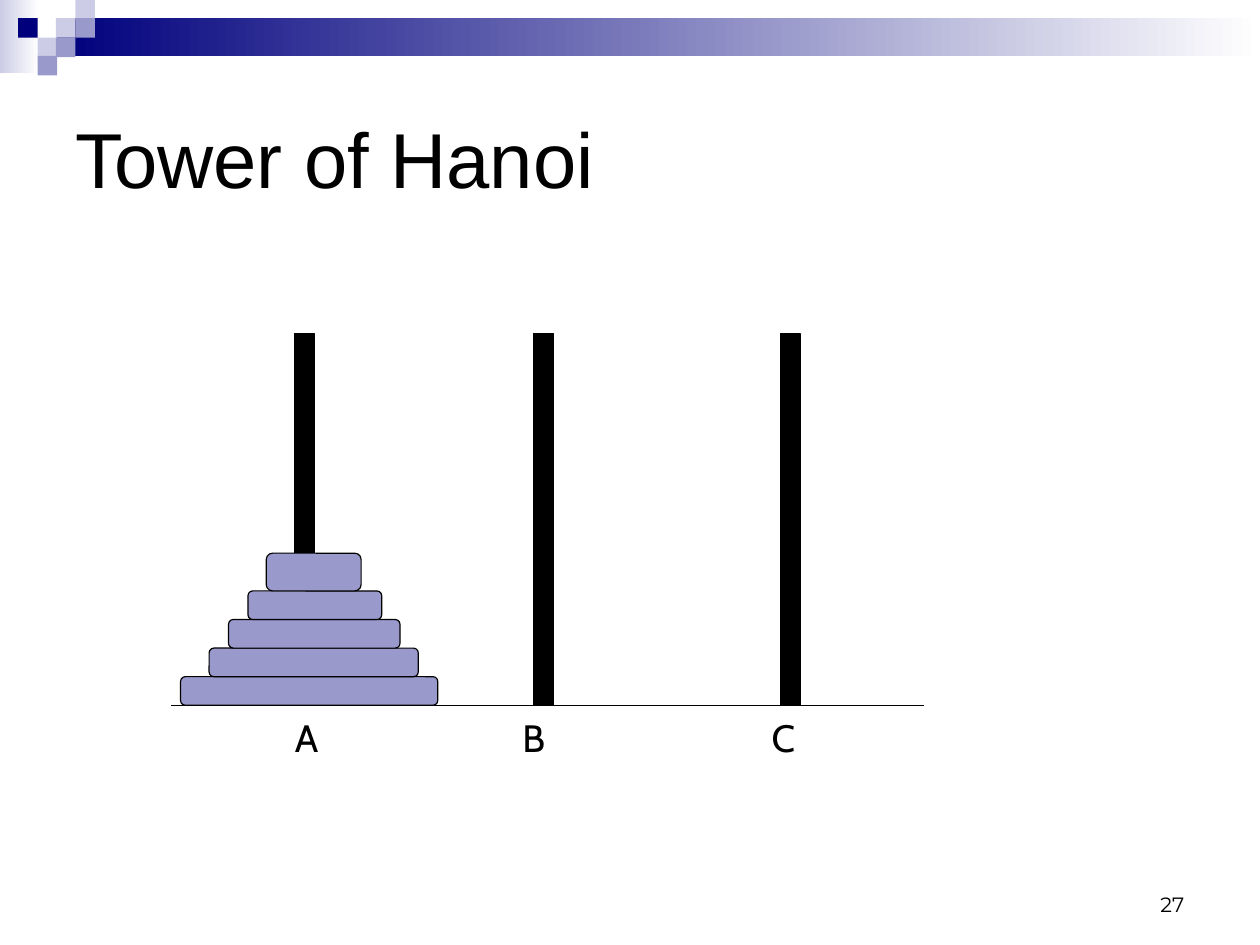
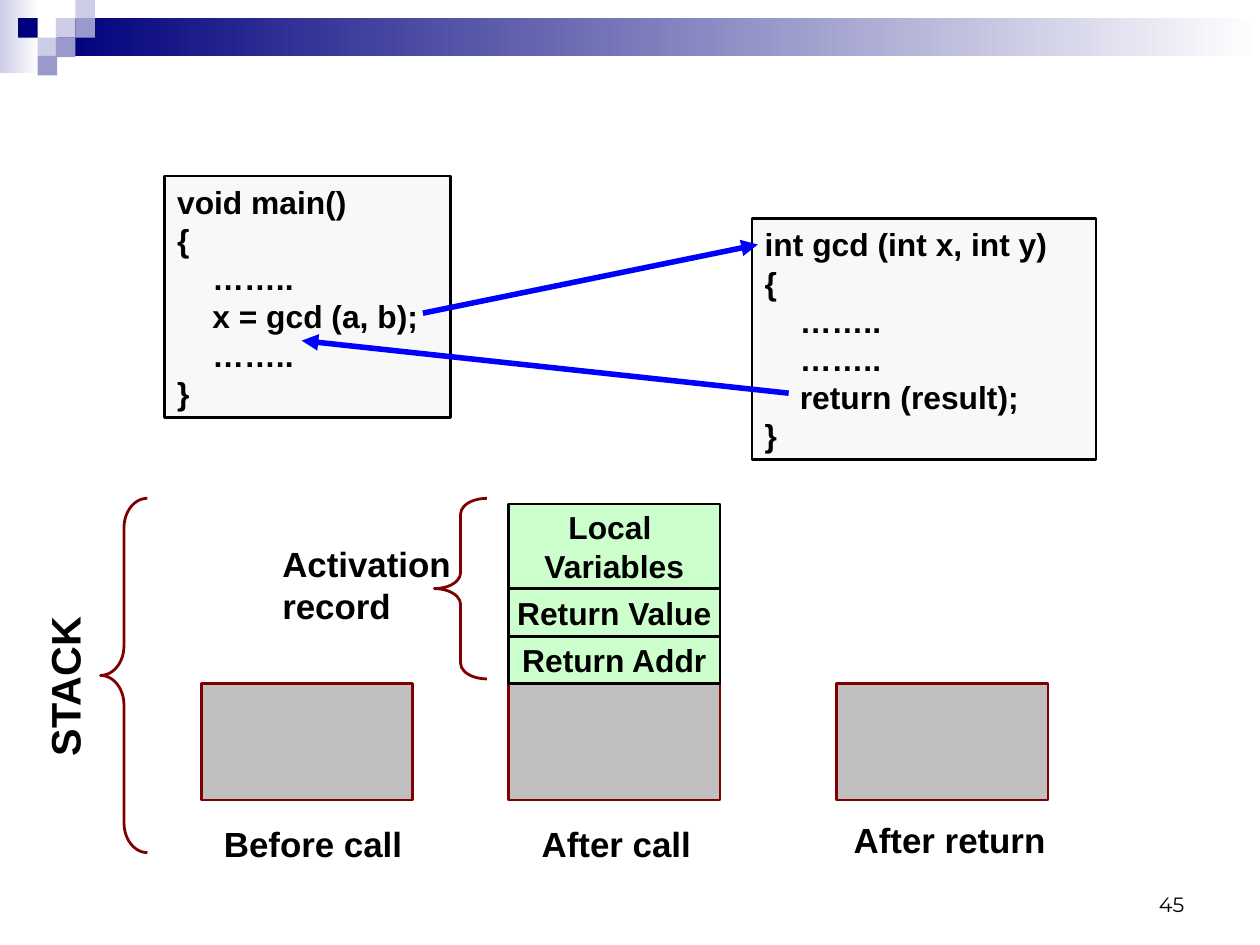
import pptx
import pptx.util
import pptx.dml.color
import pptx.enum.shapes
import pptx.enum.text
import pptx.oxml
import pptx.oxml.ns
import lxml.etree

Inches = pptx.util.Inches
Pt = pptx.util.Pt
RGB = pptx.dml.color.RGBColor.from_string
SHAPE = pptx.enum.shapes.MSO_SHAPE
ALIGN = pptx.enum.text.PP_ALIGN
ANCHOR = pptx.enum.text.MSO_ANCHOR

COLORS = {
    "black": "000000", "white": "FFFFFF", "navy": "00007D",
    "lavender": "9999CC", "pale": "CCCCE6", "code": "F8F8F8",
    "arrow": "0000FF", "stack": "C0C0C0", "maroon": "800000",
    "record": "CCFFCC",
}


def add_block(slide, kind, at, fill=None, line=None, width=0.75, text=None,
              size=20, font="Arial", bold=True, align=ALIGN.LEFT,
              anchor=ANCHOR.TOP, wrap=True):
    """Add a preset shape, or a text box when kind is None."""
    box = [Inches(length) for length in at]
    if kind is None:
        block = slide.shapes.add_textbox(*box)
    else:
        block = slide.shapes.add_shape(kind, *box)
        block.shadow.inherit = False
        if fill:
            block.fill.solid()
            block.fill.fore_color.rgb = RGB(COLORS[fill])
        else:
            block.fill.background()
        if line:
            block.line.color.rgb = RGB(COLORS[line])
            block.line.width = Pt(width)
        else:
            block.line.fill.background()
    if text:
        frame = block.text_frame
        frame.text = text
        frame.word_wrap = wrap
        frame.vertical_anchor = anchor
        frame.margin_left = frame.margin_right = Inches(0.11)
        frame.margin_top = frame.margin_bottom = Inches(0.06)
        for paragraph in frame.paragraphs:
            paragraph.alignment = align
            for run in paragraph.runs:
                run.font.name = font
                run.font.size = Pt(size)
                run.font.bold = bold
                run.font.color.rgb = RGB(COLORS["black"])
    return block


def add_line(slide, start, end, color, width, arrow=False):
    """Add a straight line, with an arrowhead at its end on request."""
    connector = slide.shapes.add_connector(
        pptx.enum.shapes.MSO_CONNECTOR.STRAIGHT,
        *[Inches(length) for length in start + end])
    connector.line.color.rgb = RGB(COLORS[color])
    connector.line.width = Pt(width)
    if arrow:
        outline = connector.line._get_or_add_ln()
        lxml.etree.SubElement(outline, pptx.oxml.ns.qn("a:tailEnd"), type="triangle")
    lxml.etree.SubElement(connector.element.spPr, pptx.oxml.ns.qn("a:effectLst"))


# Slides of 28 by 21 centimetres
presentation = pptx.Presentation()
presentation.slide_width = Inches(28 / 2.54)
presentation.slide_height = Inches(21 / 2.54)
hanoi = presentation.slides.add_slide(presentation.slide_layouts[5])
calls = presentation.slides.add_slide(presentation.slide_layouts[6])

# Shared band and squares, moved to the slide master
decoration = []
for at, color in [((0, 0, 0.34, 0.64), "pale"), ((0.5, 0.16, 10.53, 0.33), "navy")]:
    band = add_block(hanoi, SHAPE.RECTANGLE, at)
    band.fill.gradient()
    band.fill.gradient_angle = 0
    for stop, position, stop_color in zip(band.fill.gradient_stops, (0, 1), (color, "white")):
        stop.position = position
        stop.color.rgb = RGB(COLORS[stop_color])
    decoration.append(band)
EDGES = [0, 0.16, 0.33, 0.49, 0.66]
for column, row, color in [(3, 1, "pale"), (4, 0, "pale"), (4, 1, "lavender"),
                           (2, 2, "pale"), (1, 1, "navy"), (3, 2, "lavender"),
                           (2, 3, "lavender")]:
    decoration.append(add_block(
        hanoi, SHAPE.RECTANGLE, (EDGES[column], EDGES[row], 0.17, 0.17), color))
master_tree = presentation.slide_master.shapes.element
for index, part in enumerate(decoration):
    part.element.nvSpPr.cNvPr.set("id", str(100 + index))
    master_tree.insert(2 + index, part.element)

# Page numbers
for slide, number in [(hanoi, "27"), (calls, "45")]:
    add_block(slide, None, (7.9, 7.53, 2.57, 0.55), text=number, size=13,
              font="Montserrat", bold=False, align=ALIGN.RIGHT, anchor=ANCHOR.BOTTOM)

# Slide 1: title
title = hanoi.shapes.title
title.left, title.top = Inches(0.55), Inches(0.55)
title.width, title.height = Inches(9.92), Inches(1.65)
title.text_frame.text = "Tower of Hanoi"
title.text_frame.vertical_anchor = ANCHOR.MIDDLE
title.text_frame.margin_left = title.text_frame.margin_right = Inches(0.11)
heading = title.text_frame.paragraphs[0]
heading.alignment = ALIGN.LEFT
heading.font.name = "Arial"
heading.font.size = Pt(49)
heading.font.color.rgb = RGB(COLORS["black"])

# Slide 1: pegs with their letters
GROUND = 6.17
for letter, peg_left, letter_left in [("A", 2.58, 2.47), ("B", 4.67, 4.46), ("C", 6.83, 6.64)]:
    add_block(hanoi, SHAPE.RECTANGLE, (peg_left, GROUND - 3.25, 0.17, 3.25), "black", "black")
    add_block(hanoi, None, (letter_left, 6.19, 0.41, 0.5), text=letter,
              size=24, font="Cabin", bold=False, wrap=False)
add_line(hanoi, (1.5, GROUND), (8.08, GROUND), "black", 0.75)

# Slide 1: discs, stacked from the ground up
disc_top = GROUND
for left, width, height in [(1.58, 2.25, 0.25), (1.83, 1.83, 0.25), (2, 1.5, 0.25),
                            (2.17, 1.17, 0.25), (2.33, 0.83, 0.33)]:
    disc_top -= height
    add_block(hanoi, SHAPE.ROUNDED_RECTANGLE, (left, disc_top, width, height),
              "lavender", "black")

# Slide 2: code of caller and callee
main_code = "void main()\n{\n    ……..\n    x = gcd (a, b);\n    ……..\n}"
gcd_code = "int gcd (int x, int y)\n{\n    ……..\n    ……..\n    return (result);\n}"
for at, code in [((1.44, 1.54, 2.5, 2.11), main_code), ((6.58, 1.91, 3.01, 2.11), gcd_code)]:
    add_block(calls, SHAPE.RECTANGLE, at, "code", "black", 1.75, text=code)
for start, end in [((3.7, 2.74), (6.63, 2.14)), ((6.9, 3.44), (2.64, 2.98))]:
    add_line(calls, start, end, "arrow", 3.5, arrow=True)

# Slide 2: the stack at three moments
STACK_TOP, STACK_WIDTH = 5.98, 1.85
for caption, stack_left, caption_left, caption_top in [
        ("Before call", 1.76, 1.85, 7.14), ("After call", 4.45, 4.63, 7.14),
        ("After return", 7.32, 7.36, 7.1)]:
    add_block(calls, SHAPE.RECTANGLE, (stack_left, STACK_TOP, STACK_WIDTH, 1.02),
              "stack", "maroon", 1.75)
    add_block(calls, None, (caption_left, caption_top, 2.27, 0.48), text=caption, size=22)

# Slide 2: activation record, piled on the middle stack
record_top = STACK_TOP
for field, height in [("Return Addr", 0.41), ("Return Value", 0.42), ("Local \nVariables", 0.74)]:
    record_top -= height
    add_block(calls, SHAPE.RECTANGLE, (4.45, record_top, STACK_WIDTH, height),
              "record", "black", 1.75, text=field, align=ALIGN.CENTER,
              anchor=ANCHOR.MIDDLE, wrap=False)

# Slide 2: braces and their labels
for at, curve in [((0.88, 4.36, 0.41, 3.1), 0.63), ((3.8, 4.36, 0.46, 1.58), 0.3)]:
    brace = add_block(calls, SHAPE.LEFT_BRACE, at, line="maroon", width=1.75)
    brace.adjustments[0] = curve
add_block(calls, None, (2.36, 4.69, 1.99, 0.84), text="Activation record", size=22)
stack_label = add_block(calls, None, (-0.81, 5.09, 2.73, 0.54), text="STACK", size=26)
stack_label.rotation = 270

presentation.save("out.pptx")
